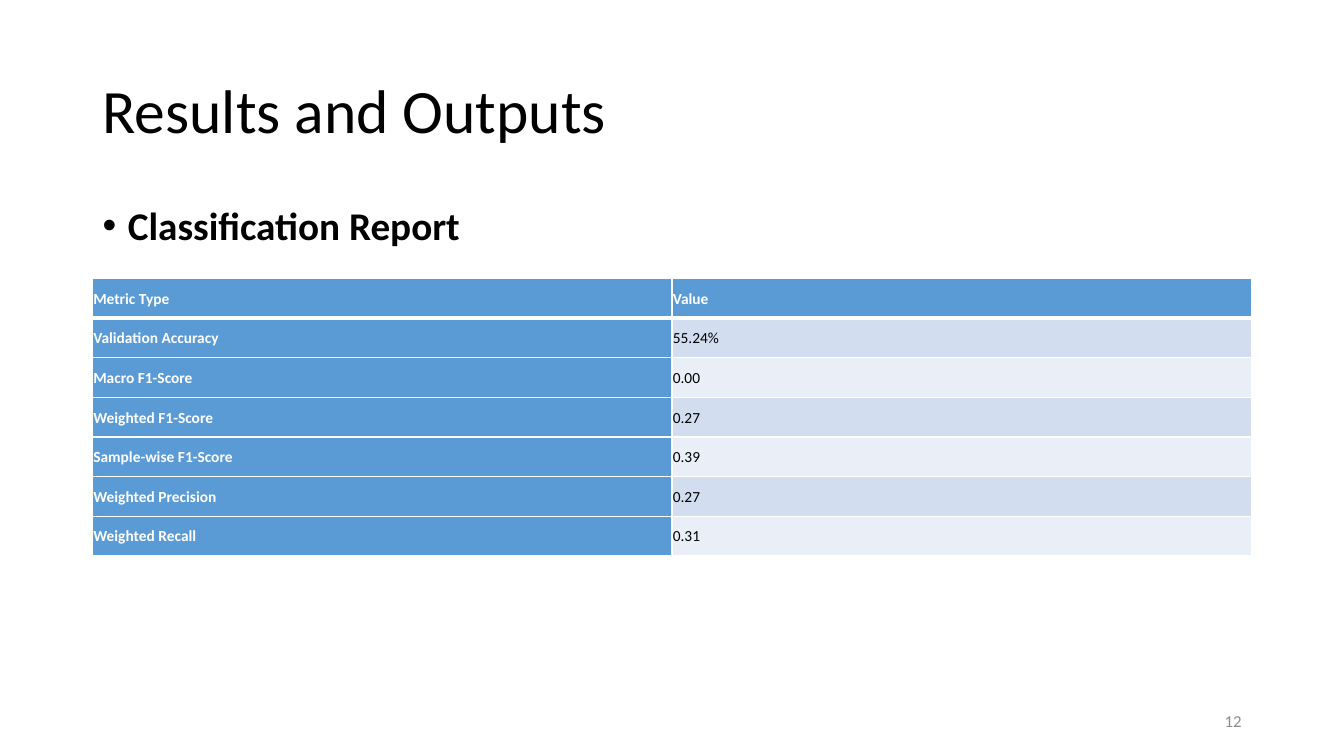
from dataclasses import dataclass

from lxml.etree import SubElement
from pptx import Presentation
from pptx.dml.color import RGBColor
from pptx.enum.text import MSO_ANCHOR, MSO_AUTO_SIZE, PP_ALIGN
from pptx.oxml.ns import qn
from pptx.util import Cm, Pt


@dataclass(frozen=True)
class Theme:
    font: str = "Calibri"
    ink: str = "000000"
    paper: str = "FFFFFF"
    muted: str = "8C8C8C"
    accent: str = "5B9BD5"
    bands: tuple = ("D2DEEF", "EAEFF7")
    title: int = 44
    body: int = 28
    note: int = 12
    cell: int = 11


class Deck:
    def __init__(self, theme):
        self.theme = theme
        self.file = Presentation()
        self.file.slide_width = Cm(33.87)
        self.file.slide_height = Cm(19.05)
        self.slide = self.file.slides.add_slide(self.file.slide_layouts[1])

    def place(self, shape, left, top, width, height):
        shape.left, shape.top = Cm(left), Cm(top)
        shape.width, shape.height = Cm(width), Cm(height)

    def text(self, frame, words, size, color, bold=False, align=PP_ALIGN.LEFT):
        para = frame.paragraphs[0]
        para.alignment = align
        run = para.add_run()
        run.text = words
        run.font.name = self.theme.font
        run.font.size = Pt(size)
        run.font.bold = bold
        run.font.color.rgb = RGBColor.from_string(color)
        return para

    def frame(self, shape, anchor):
        frame = shape.text_frame
        frame.word_wrap = True
        frame.auto_size = MSO_AUTO_SIZE.NONE
        frame.vertical_anchor = anchor
        return frame

    def title(self, words, *box):
        shape = self.slide.shapes.title
        self.place(shape, *box)
        frame = self.frame(shape, MSO_ANCHOR.MIDDLE)
        para = self.text(frame, words, self.theme.title, self.theme.ink)
        para.line_spacing = 0.9

    def bullet(self, words, *box):
        shape = self.slide.placeholders[1]
        self.place(shape, *box)
        frame = self.frame(shape, MSO_ANCHOR.TOP)
        para = self.text(frame, words, self.theme.body, self.theme.ink, True)
        para.line_spacing = 0.9
        para.space_before = Pt(10)
        props = para._p.get_or_add_pPr()
        props.set("marL", str(Cm(0.64)))
        props.set("indent", str(Cm(-0.64)))
        SubElement(props, qn("a:buFont"), typeface="Arial")
        SubElement(props, qn("a:buChar"), char="•")

    def number(self, words, *box):
        shape = self.slide.shapes.add_textbox(*map(Cm, box))
        frame = self.frame(shape, MSO_ANCHOR.MIDDLE)
        self.text(frame, words, self.theme.note, self.theme.muted, align=PP_ALIGN.RIGHT)

    def border(self, cell, side, width):
        props = cell._tc.get_or_add_tcPr()
        line = SubElement(props, qn(f"a:ln{side}"), w=str(Pt(width)))
        fill = SubElement(line, qn("a:solidFill"))
        SubElement(fill, qn("a:srgbClr"), val=self.theme.paper)

    def cell(self, cell, words, row, col):
        theme = self.theme
        head = row == 0 or col == 0
        for side in "LRTB":
            thick = (side == "B" and row == 0) or (side == "T" and row == 1)
            self.border(cell, side, 3 if thick else 1)
        color = theme.accent if head else theme.bands[(row - 1) % 2]
        cell.fill.solid()
        cell.fill.fore_color.rgb = RGBColor.from_string(color)
        cell.margin_left = cell.margin_right = Cm(0.02)
        cell.margin_top = cell.margin_bottom = Cm(0.02)
        cell.vertical_anchor = MSO_ANCHOR.MIDDLE
        ink = theme.paper if head else theme.ink
        para = self.text(cell.text_frame, words, theme.cell, ink, head)
        para.line_spacing = 1.07
        para.space_after = Pt(8)

    def table(self, rows, *box):
        shape = self.slide.shapes.add_table(len(rows), len(rows[0]), *map(Cm, box))
        table = shape.table
        table.first_row = table.horz_banding = False
        for row, texts in enumerate(rows):
            for col, words in enumerate(texts):
                self.cell(table.cell(row, col), words, row, col)

    def save(self):
        self.file.save("out.pptx")


def main():
    left, width = 2.33, 29.21
    scores = [
        ("Metric Type", "Value"),
        ("Validation Accuracy", "55.24%"),
        ("Macro F1-Score", "0.00"),
        ("Weighted F1-Score", "0.27"),
        ("Sample-wise F1-Score", "0.39"),
        ("Weighted Precision", "0.27"),
        ("Weighted Recall", "0.31"),
    ]
    deck = Deck(Theme())
    deck.title("Results and Outputs", left, 1.01, width, 3.68)
    deck.bullet("Classification Report", left, 5.07, width, 12.09)
    deck.number("12", 23.92, 17.66, 7.62, 1.01)
    deck.table(scores, left, 7.02, width, 6.99)
    deck.save()


if __name__ == "__main__":
    main()
